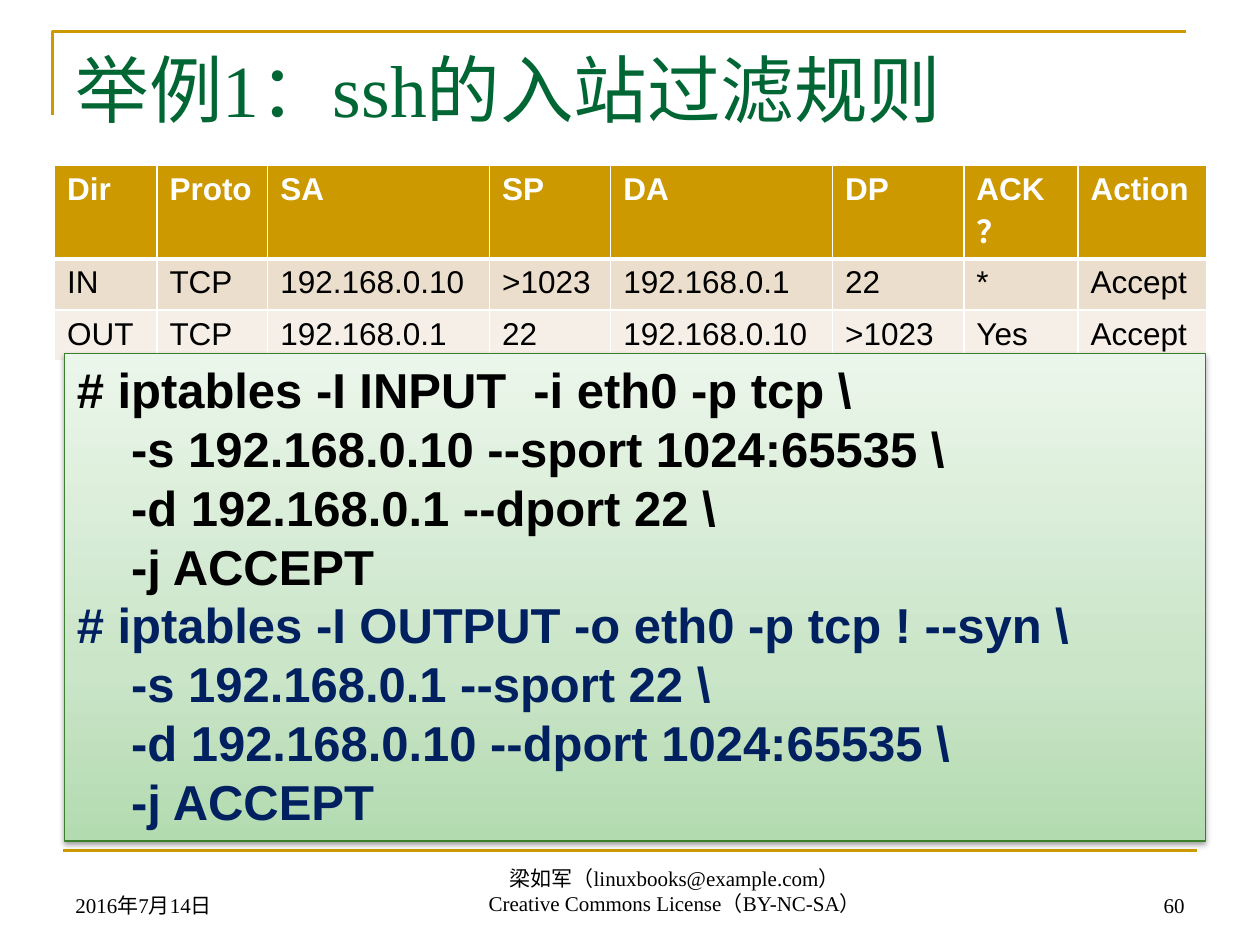
import pptx
import pptx.dml.color
import pptx.enum.shapes
import pptx.enum.text
import pptx.oxml.ns
import pptx.util
from lxml import etree

Pt = pptx.util.Pt
ANCHOR = pptx.enum.text.MSO_ANCHOR
ALIGN = pptx.enum.text.PP_ALIGN

GOLD, GREEN, NAVY, BLACK, WHITE = "CC9900", "006633", "002060", "000000", "FFFFFF"
SERIF, SANS = "Times New Roman", "Arial"

TITLE = "举例1：ssh的入站过滤规则"
RULES = [
    ["Dir", "Proto", "SA", "SP", "DA", "DP", "ACK？", "Action"],
    ["IN", "TCP", "192.168.0.10", ">1023", "192.168.0.1", "22", "*", "Accept"],
    ["OUT", "TCP", "192.168.0.1", "22", "192.168.0.10", ">1023", "Yes", "Accept"],
]
COLUMN_WIDTHS = [58.5, 63.3, 126.8, 69.2, 126.8, 75, 65.3, 73.5]
ROW_HEIGHT = 29.2
ROW_FILLS = [GOLD, "ECDECC", "F6EFE7"]
COMMANDS = [
    (BLACK, [
        "# iptables -I INPUT  -i eth0 -p tcp \\",
        "    -s 192.168.0.10 --sport 1024:65535 \\",
        "    -d 192.168.0.1 --dport 22 \\",
        "    -j ACCEPT",
    ]),
    (NAVY, [
        "# iptables -I OUTPUT -o eth0 -p tcp ! --syn \\",
        "    -s 192.168.0.1 --sport 22 \\",
        "    -d 192.168.0.10 --dport 1024:65535 \\",
        "    -j ACCEPT",
    ]),
]
PANEL_STOPS = [(0, "B3DBB0"), (35, "CAE5C8"), (100, "EBF6EA")]
FOOTERS = [
    ((36, 491.8, 168, 36), ALIGN.LEFT, ["2016年7月14日"]),
    ((172.8, 491, 425.5, 36), ALIGN.CENTER,
     ["梁如军（linuxbooks@example.com）", "Creative Commons License（BY-NC-SA）"]),
    ((516, 491.8, 168, 36), ALIGN.RIGHT, ["60"]),
]


def color(value):
    return pptx.dml.color.RGBColor.from_string(value)


def points(*lengths):
    return [Pt(length) for length in lengths]


def add_xml(parent, tag, **attributes):
    child = etree.SubElement(parent, pptx.oxml.ns.qn(tag))
    for name, value in attributes.items():
        child.set(name, str(value))
    return child


def set_font(para, name, size, value, bold=False):
    font = para.font
    font.name, font.size, font.bold = name, Pt(size), bold
    font.color.rgb = color(value)


def set_line(shape, value, width):
    shape.line.color.rgb = color(value)
    shape.line.width = Pt(width)


def fill_lines(frame, lines):
    """Put one line in each paragraph and return the paragraphs."""
    paras = [frame.paragraphs[0]] + [frame.add_paragraph() for _ in lines[1:]]
    for para, line in zip(paras, lines):
        para.text = line
    return paras


def add_gold_lines(page):
    """Draw the gold corner at the top and the gold line above the footer."""
    builder = page.shapes.build_freeform(Pt(30), Pt(66), scale=1.0)
    builder.add_line_segments([points(30, 18), points(678, 18)], close=False)
    corner = builder.convert_to_shape()
    corner.fill.background()
    corner.shadow.inherit = False
    set_line(corner, GOLD, 1.5)

    line = page.shapes.add_connector(
        pptx.enum.shapes.MSO_CONNECTOR.STRAIGHT, *points(36, 486, 684, 486))
    set_line(line, GOLD, 1.5)
    add_xml(line._element.spPr, "a:effectLst")


def add_title(page):
    title = page.shapes.title
    title.left, title.top, title.width, title.height = points(36, 21.6, 648, 90)
    frame = title.text_frame
    frame.text = TITLE
    frame.auto_size = pptx.enum.text.MSO_AUTO_SIZE.NONE
    frame.vertical_anchor = ANCHOR.TOP
    frame.paragraphs[0].alignment = ALIGN.LEFT
    set_font(frame.paragraphs[0], SERIF, 42, GREEN)


def set_borders(cell, widths):
    properties = cell._tc.get_or_add_tcPr()
    for side, width in zip("LRTB", widths):
        border = add_xml(properties, f"a:ln{side}", w=Pt(width))
        add_xml(add_xml(border, "a:solidFill"), "a:srgbClr", val=WHITE)


def add_rule_table(page):
    table = page.shapes.add_table(
        len(RULES), len(COLUMN_WIDTHS),
        *points(31.2, 94.6, sum(COLUMN_WIDTHS), ROW_HEIGHT * len(RULES))).table
    for column, width in zip(table.columns, COLUMN_WIDTHS):
        column.width = Pt(width)
    for i, values in enumerate(RULES):
        table.rows[i].height = Pt(ROW_HEIGHT)
        header = i == 0
        for j, value in enumerate(values):
            cell = table.cell(i, j)
            set_borders(cell, (1, 1, 3 if i == 1 else 1, 3 if header else 1))
            cell.fill.solid()
            cell.fill.fore_color.rgb = color(ROW_FILLS[i])
            cell.text = value
            set_font(cell.text_frame.paragraphs[0], SANS, 18,
                     WHITE if header else BLACK, header)


def add_footers(page):
    for place, alignment, lines in FOOTERS:
        frame = page.shapes.add_textbox(*points(*place)).text_frame
        frame.word_wrap = True
        frame.vertical_anchor = ANCHOR.BOTTOM
        for para in fill_lines(frame, lines):
            para.alignment = alignment
            set_font(para, SERIF, 12, BLACK)


def style_panel(panel):
    """Give the panel its green gradient, thin outline and soft shadow."""
    panel.fill.gradient()
    panel.fill.gradient_angle = 90
    stops = panel._element.spPr.find(".//" + pptx.oxml.ns.qn("a:gsLst"))
    for stop in list(stops):
        stops.remove(stop)
    for position, value in PANEL_STOPS:
        stop = add_xml(stops, "a:gs", pos=position * 1000)
        add_xml(stop, "a:srgbClr", val=value)
    set_line(panel, "38802C", 0.75)
    panel.shadow.inherit = False
    effects = panel._element.spPr.find(pptx.oxml.ns.qn("a:effectLst"))
    shadow = add_xml(effects, "a:outerShdw", blurRad=Pt(3.1), dist=Pt(1.6),
                     dir=90 * 60000, rotWithShape=0)
    add_xml(add_xml(shadow, "a:srgbClr", val=BLACK), "a:alpha", val=38000)


def add_command_panel(page):
    panel = page.shapes.add_shape(
        pptx.enum.shapes.MSO_SHAPE.RECTANGLE, *points(36.8, 202, 652, 278.6))
    style_panel(panel)
    frame = panel.text_frame
    frame.word_wrap = True
    frame.vertical_anchor = ANCHOR.TOP
    lines = [(value, line) for value, block in COMMANDS for line in block]
    paras = fill_lines(frame, [line for _, line in lines])
    for para, (value, _) in zip(paras, lines):
        para.alignment = ALIGN.LEFT
        set_font(para, SANS, 28, value, True)


def main():
    deck = pptx.Presentation()
    deck.slide_width, deck.slide_height = points(720, 540)
    page = deck.slides.add_slide(deck.slide_layouts.get_by_name("Title Only"))
    add_gold_lines(page)
    add_title(page)
    add_rule_table(page)
    add_footers(page)
    add_command_panel(page)
    deck.save("out.pptx")


if __name__ == "__main__":
    main()
